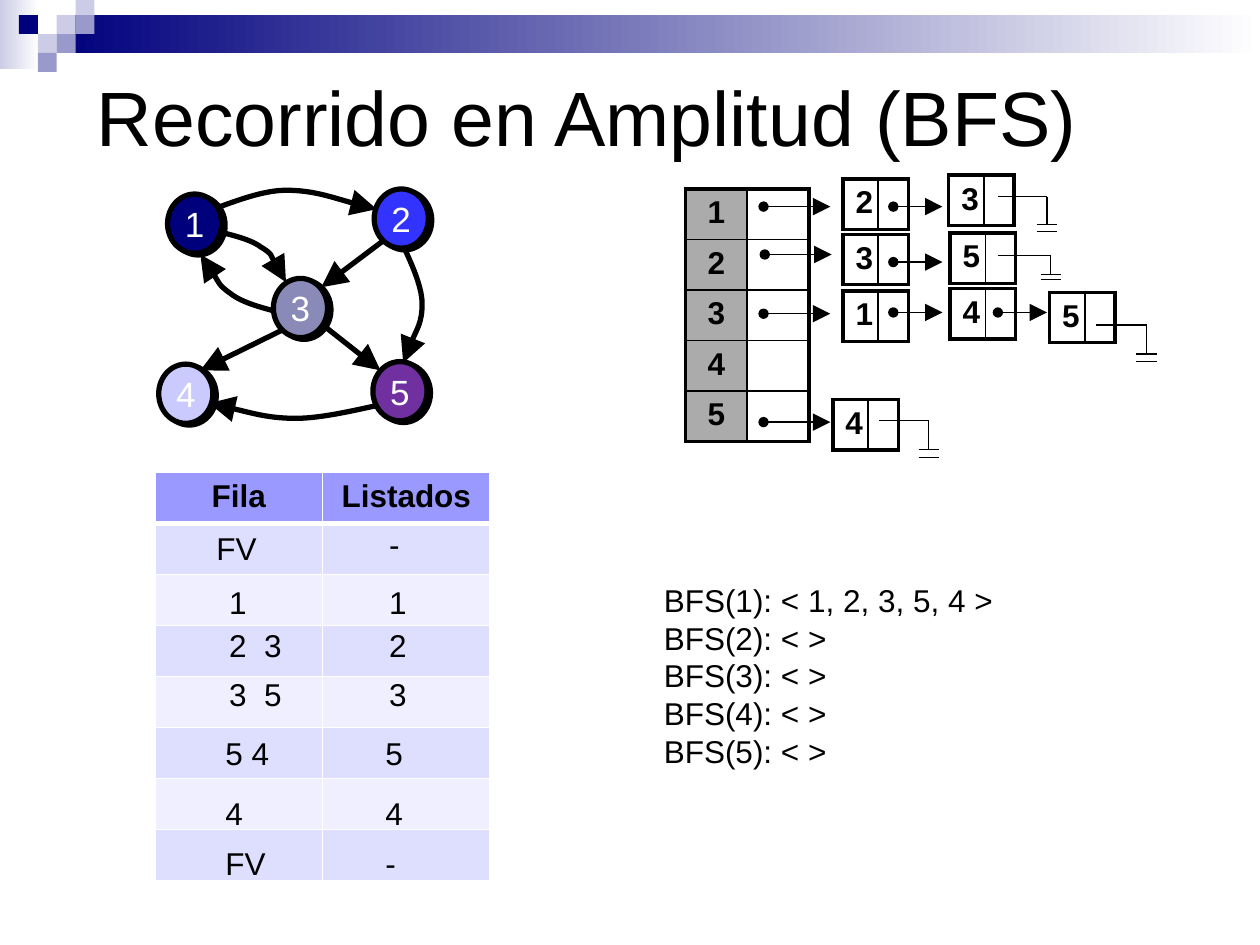
from lxml import etree
from pptx import Presentation
from pptx import util as u
from pptx.dml.color import RGBColor
from pptx.enum import shapes, text
from pptx.oxml import ns

BLACK, WHITE, NAVY = "000000", "FFFFFF", "00007D"
LILAC, MID_LILAC = "CCCCE6", "9999CC"
STRAIGHT, ELBOW = shapes.MSO_CONNECTOR.STRAIGHT, shapes.MSO_CONNECTOR.ELBOW


def rgb(value):
    return RGBColor.from_string(value)


def sub(parent, tag, **attrs):
    return etree.SubElement(parent, ns.qn(tag), attrs)


class Painter:
    """Holds the text style and the current slide."""

    font, size = "Arial", 18

    def __init__(self, slide):
        self.s = slide

    def run(self, p, words, size=None, color=BLACK, bold=False):
        r = p.add_run()
        r.text = words
        r.font.name, r.font.size = self.font, u.Pt(size or self.size)
        r.font.bold, r.font.color.rgb = bold, rgb(color)

    def text(self, x, y, w, h, lines, size=None, anchor=text.MSO_ANCHOR.TOP):
        tf = self.s.shapes.add_textbox(*map(u.Inches, (x, y, w, h))).text_frame
        tf.word_wrap, tf.vertical_anchor = True, anchor
        for i, words in enumerate(lines):
            p = tf.add_paragraph() if i else tf.paragraphs[0]
            self.run(p, words, size)

    def shape(self, kind, x, y, w, h, fill, fade_to=None):
        sp = self.s.shapes.add_shape(kind, *map(u.Inches, (x, y, w, h)))
        sp.shadow.inherit = False
        sp.line.fill.background()
        if fade_to:
            sp.fill.gradient()
            sp.fill.gradient_angle = 0
            for stop, color in zip(sp.fill.gradient_stops, (fill, fade_to)):
                stop.color.rgb = rgb(color)
        else:
            sp.fill.solid()
            sp.fill.fore_color.rgb = rgb(fill)
        return sp

    def vertex(self, x, y, label, fill):
        sp = self.shape(shapes.MSO_SHAPE.OVAL, x, y, 0.43, 0.47, fill)
        self.stroke(sp, 3)
        effects = sp._element.spPr.find(ns.qn("a:effectLst"))
        shadow = sub(effects, "a:outerShdw", blurRad="0", dist=str(u.Pt(2.2)),
                     dir=str(27 * 60000), algn="ctr", rotWithShape="0")
        sub(shadow, "a:srgbClr", val=BLACK)
        tf = sp.text_frame
        tf.word_wrap, tf.vertical_anchor = False, text.MSO_ANCHOR.MIDDLE
        p = tf.paragraphs[0]
        p.alignment = text.PP_ALIGN.CENTER
        self.run(p, label, 20, WHITE)

    def stroke(self, sp, width, head=None, tail=None):
        sp.line.color.rgb = rgb(BLACK)
        sp.line.width = u.Pt(width)
        for tag, end in (("a:headEnd", head), ("a:tailEnd", tail)):
            if end:
                scale = "lg" if end == "triangle" else "med"
                sub(sp.line._get_or_add_ln(), tag, type=end, w=scale, len=scale)

    def line(self, x1, y1, x2, y2, width=0.75, head=None, tail=None, kind=STRAIGHT):
        c = self.s.shapes.add_connector(kind, *map(u.Inches, (x1, y1, x2, y2)))
        self.stroke(c, width, head, tail)
        sub(c._element.spPr, "a:effectLst")

    def curve(self, points):
        """Arrow along joined cubic curves: start, then three points each."""
        dots = [tuple(map(u.Inches, point)) for point in points]
        fb = self.s.shapes.build_freeform(*dots[0])
        fb.add_line_segments(dots[1:], close=False)
        sp = fb.convert_to_shape()
        segments = list(sp._element.iter(ns.qn("a:lnTo")))
        outline = segments[0].getparent()
        for i in range(0, len(segments), 3):
            bend = sub(outline, "a:cubicBezTo")
            for segment in segments[i:i + 3]:
                bend.append(segment[0])
                outline.remove(segment)
        sp.shadow.inherit = False
        sp.fill.background()
        self.stroke(sp, 3, tail="triangle")

    def table(self, x, y, widths, height, rows, fill, edge):
        """fill(r, c) gives a colour or None; edge(side, r, c) colour and width."""
        frame = self.s.shapes.add_table(
            len(rows), len(widths), u.Inches(x), u.Inches(y),
            u.Inches(sum(widths)), u.Inches(height * len(rows)))
        tbl = frame.table
        tbl.first_row = tbl.horz_banding = False
        for col, w in zip(tbl.columns, widths):
            col.width = u.Inches(w)
        for r, row in enumerate(rows):
            tbl.rows[r].height = u.Inches(height)
            for c, words in enumerate(row):
                cell = tbl.cell(r, c)
                if fill(r, c):
                    cell.fill.solid()
                    cell.fill.fore_color.rgb = rgb(fill(r, c))
                else:
                    cell.fill.background()
                p = cell.text_frame.paragraphs[0]
                p.alignment = text.PP_ALIGN.CENTER
                if words:
                    self.run(p, words, bold=True)
                tc_pr = cell._tc.get_or_add_tcPr()
                for i, side in enumerate("LRTB"):
                    color, width = edge(side, r, c)
                    ln = sub(tc_pr, "a:ln" + side, w=str(u.Pt(width)))
                    sub(sub(ln, "a:solidFill"), "a:srgbClr", val=color)
                    tc_pr.insert(i, ln)

    def boxes(self, x, y, widths, rows, label_fill=None, rest_fill=None):
        """Black table with a heavy outline and thin inner lines."""
        last = {"L": (1, 0), "R": (1, len(widths) - 1),
                "T": (0, 0), "B": (0, len(rows) - 1)}

        def edge(side, r, c):
            axis, end = last[side]
            return BLACK, 2.25 if (r, c)[axis] == end else 1

        self.table(x, y, widths, 0.4, rows,
                   lambda r, c: rest_fill if c else label_fill, edge)

    def ground(self, x, y, w, drop, gap):
        """Null pointer: a lead, a drop and two short bars."""
        end, low = x + w, y + drop
        self.line(x, y, end, y, kind=ELBOW)
        self.line(end, y, end, low, kind=ELBOW)
        for bar in (low, low + gap):
            self.line(end - 0.08, bar, end + 0.08, bar)


def main():
    prs = Presentation()
    prs.slide_width, prs.slide_height = u.Inches(10), u.Inches(7.5)
    s = Painter(prs.slides.add_slide(prs.slide_layouts[6]))

    # Header band and its squares
    rect = shapes.MSO_SHAPE.RECTANGLE
    s.shape(rect, 0, -0.03, 0.31, 0.58, LILAC, WHITE)
    s.shape(rect, 0.45, 0.12, 9.55, 0.3, NAVY, WHITE)
    for col, row, color in ((3, 1, LILAC), (4, 0, LILAC), (4, 1, MID_LILAC), (2, 2, LILAC),
                            (1, 1, NAVY), (3, 2, MID_LILAC), (2, 3, MID_LILAC)):
        s.shape(rect, 0.15 * col, 0.15 * row - 0.03, 0.15, 0.15, color)
    s.text(0.67, 0.17, 9, 1.5, ["Recorrido en Amplitud (BFS)"], 44, text.MSO_ANCHOR.MIDDLE)

    # Graph: curved edges, vertices, straight edges
    for points in (
        [(1.68, 1.66), (1.77, 1.64), (2.05, 1.51), (2.27, 1.51), (2.49, 1.51), (2.84, 1.63), (2.99, 1.66)],
        [(1.7, 1.83), (1.77, 1.85), (1.98, 1.89), (2.07, 1.96), (2.17, 2.02), (2.23, 2.18), (2.27, 2.24)],
        [(3.21, 1.97), (3.24, 2.04), (3.35, 2.26), (3.35, 2.41), (3.35, 2.56), (3.23, 2.78), (3.2, 2.88)],
        [(2.99, 3.22), (2.88, 3.24), (2.57, 3.32), (2.35, 3.32), (2.13, 3.32), (1.81, 3.23), (1.66, 3.2)],
        [(2.18, 2.47), (2.12, 2.45), (1.93, 2.41), (1.83, 2.33), (1.73, 2.26), (1.64, 2.08), (1.59, 2.02)],
    ):
        s.curve(points)
    for x, y, label, color in ((1.33, 1.54, "1", NAVY), (2.97, 1.5, "2", "3333FF"),
                               (2.96, 2.87, "5", "7030A0"), (1.26, 2.89, "4", "CACAFF"),
                               (2.17, 2.21, "3", "8A8AB9")):
        s.vertex(x, y, label, color)
    for ends in ((3.03, 1.92, 2.55, 2.28), (2.24, 2.62, 1.59, 2.94), (2.55, 2.57, 3.02, 2.94)):
        s.line(*ends, width=3, tail="triangle")

    # Adjacency list: index, nodes, pointers and null ends
    s.boxes(5.44, 1.5, (0.49, 0.49), [(str(n), "") for n in range(1, 6)], "ABABAB", WHITE)
    for x, y, label in ((6.69, 1.42, "2"), (7.53, 1.39, "3"), (6.69, 1.86, "3"), (7.54, 1.85, "5"),
                        (6.69, 2.31, "1"), (7.54, 2.29, "4"), (8.33, 2.32, "5"), (6.61, 3.17, "4")):
        s.boxes(x, y, (0.28, 0.23), [(label, "")])
    for x, y, w in ((6.06, 1.64, 0.53), (7.09, 1.64, 0.39), (6.07, 2.02, 0.53), (7.09, 2.08, 0.39),
                    (6.06, 2.49, 0.53), (7.09, 2.48, 0.39), (6.06, 3.35, 0.53), (7.92, 2.48, 0.39)):
        s.line(x, y, x + w, y, head="oval", tail="triangle")
    for null_end in ((7.92, 1.56, 0.39, 0.22, 0.06), (7.92, 2.03, 0.42, 0.15, 0.04),
                     (8.7, 2.58, 0.4, 0.23, 0.06), (6.98, 3.34, 0.39, 0.23, 0.06)):
        s.ground(*null_end)

    # Queue trace table
    bands = ("EFEFFF", "DEDEFF")
    s.table(1.23, 3.75, (1.33, 1.33), 0.405, [("Fila", "Listados")] + [("", "")] * 7,
            lambda r, c: bands[r % 2] if r else "9999FF",
            lambda side, r, c: (WHITE, 3 if (side, r) in (("B", 0), ("T", 1)) else 1))
    for x, y, w, queue in ((1.62, 4.15, 0.6, "FV"), (1.72, 4.58, 0.6, "1"),
                           (1.72, 4.92, 0.88, "2  3"), (1.72, 5.31, 0.88, "3  5"),
                           (1.69, 5.78, 0.88, "5 4"), (1.69, 6.25, 0.88, "4"),
                           (1.69, 6.65, 0.88, "FV")):
        s.text(x, y, w, 0.4, [queue])
    for x, y, listed in ((2.99, 4.12, "-"), (2.99, 4.58, "1"), (2.99, 4.92, "2"), (2.99, 5.31, "3"),
                         (2.96, 5.78, "5"), (2.96, 6.25, "4"), (2.96, 6.65, "-")):
        s.text(x, y, 0.6, 0.4, [listed])

    # Traversal results
    visited = [" 1, 2, 3, 5, 4 "] + [" "] * 4
    s.text(5.17, 4.56, 2.88, 1.62, [f"BFS({n}): <{v}>" for n, v in enumerate(visited, 1)])

    prs.save("out.pptx")


if __name__ == "__main__":
    main()
